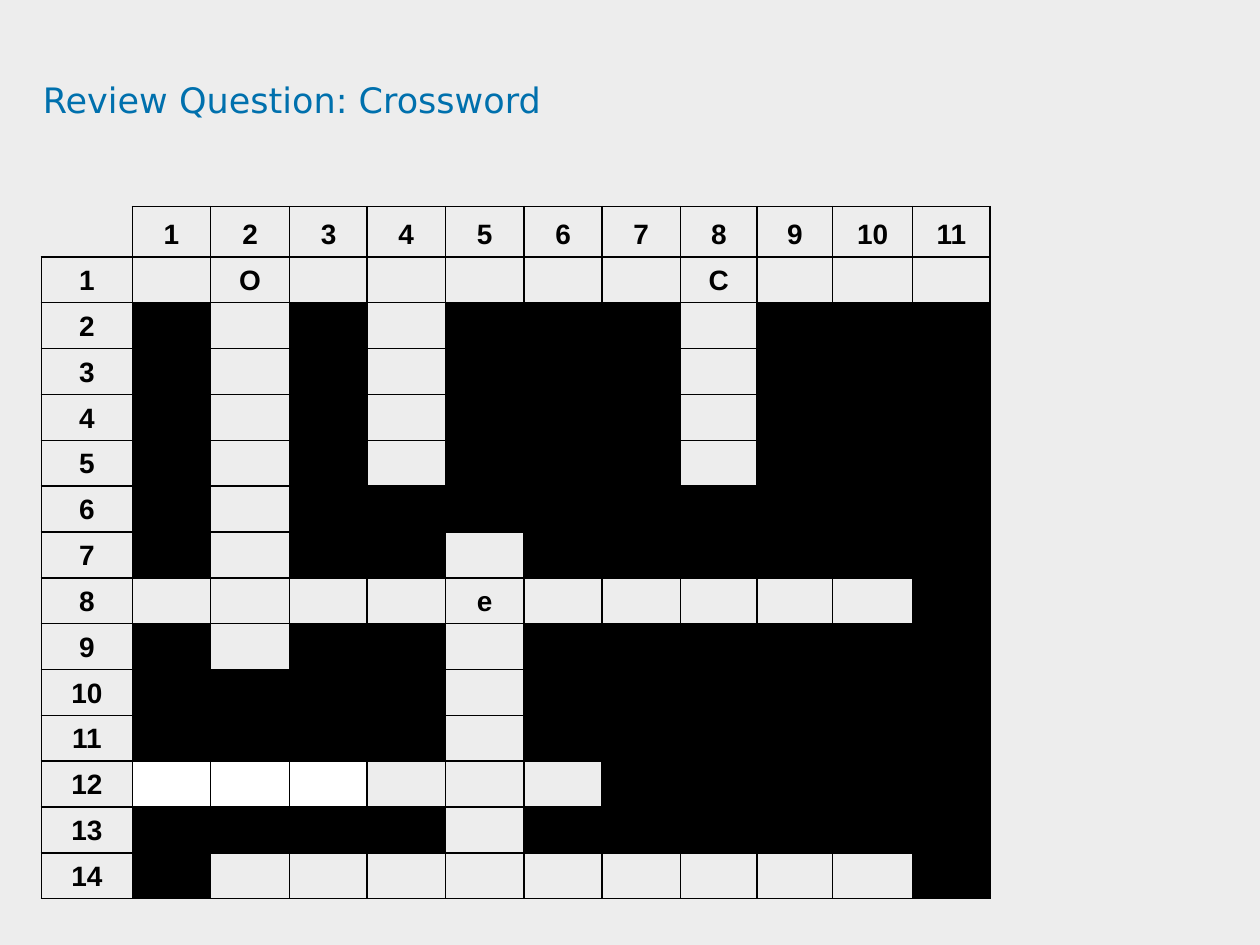
from lxml import etree
from pptx import Presentation
from pptx.dml.color import RGBColor
from pptx.enum.text import MSO_ANCHOR, PP_ALIGN
from pptx.oxml.ns import qn
from pptx.util import Pt

TOP, BOTTOM = MSO_ANCHOR.TOP, MSO_ANCHOR.BOTTOM
LEFT, CENTER = PP_ALIGN.LEFT, PP_ALIGN.CENTER
TITLE_ONLY = 5
BLACK, WHITE, GRAY, BLUE = "000000", "FFFFFF", "EDEDED", "0070AD"
FILLS = {"#": BLACK, "_": WHITE}
COLUMN_WIDTHS = [52, 44.6, 45.4, 44.3, 44.6, 45.1, 44.6, 44.6, 44, 43.1, 45.7, 44.3]
HEADER_HEIGHT, ROW_HEIGHT = 28.8, 26.2
CROSSWORD = [
    ".O.....C...",
    "#.#.###.###",
    "#.#.###.###",
    "#.#.###.###",
    "#.#.###.###",
    "#.#########",
    "#.##.######",
    "....e.....#",
    "#.##.######",
    "####.######",
    "####.######",
    "___...#####",
    "####.######",
    "#.........#",
]


def color(value):
    return RGBColor.from_string(value)


class SlideBuilder:
    title_font = "DejaVu Sans"
    grid_font = "Arial"

    def __init__(self, page):
        self.page = page

    def background(self, fill):
        self.page.background.fill.solid()
        self.page.background.fill.fore_color.rgb = color(fill)

    def span(self, para, text, font, size, hue, bold=False):
        span = para.add_run()
        span.text = text
        span.font.name = font
        span.font.size = Pt(size)
        span.font.bold = bold
        span.font.color.rgb = color(hue)

    def title(self, text, left, top, width, height):
        box = self.page.shapes.title
        box.left, box.top, box.width, box.height = map(Pt, (left, top, width, height))
        frame = box.text_frame
        frame.word_wrap = True
        frame.vertical_anchor = TOP
        frame.margin_left = frame.margin_right = frame.margin_top = frame.margin_bottom = 0
        para = frame.paragraphs[0]
        para.alignment = LEFT
        para.line_spacing = 1.5
        self.span(para, text, self.title_font, 20, BLUE)

    def borders(self, cell, visible):
        properties = cell._tc.get_or_add_tcPr()
        for side in "LRTB":
            line = etree.SubElement(properties, qn(f"a:ln{side}"), w=str(Pt(1)))
            if side in visible:
                fill = etree.SubElement(line, qn("a:solidFill"))
                etree.SubElement(fill, qn("a:srgbClr"), val=BLACK)
            else:
                etree.SubElement(line, qn("a:noFill"))

    def cell(self, cell, text, fill=None, visible="LRTB"):
        self.borders(cell, visible)
        if fill:
            cell.fill.solid()
            cell.fill.fore_color.rgb = color(fill)
        else:
            cell.fill.background()
        cell.vertical_anchor = BOTTOM
        cell.margin_left = cell.margin_right = Pt(7.2)
        cell.margin_top = cell.margin_bottom = Pt(3.6 if text else 0)
        if text:
            para = cell.text_frame.paragraphs[0]
            para.alignment = CENTER
            self.span(para, text, self.grid_font, 16, BLACK, True)

    def crossword(self, rows, left, top):
        heights = [HEADER_HEIGHT] + [ROW_HEIGHT] * len(rows)
        table = self.page.shapes.add_table(
            len(heights), len(COLUMN_WIDTHS), Pt(left), Pt(top),
            Pt(sum(COLUMN_WIDTHS)), Pt(sum(heights))).table
        table.first_row = table.horz_banding = False
        for column, width in zip(table.columns, COLUMN_WIDTHS):
            column.width = Pt(width)
        for row, height in zip(table.rows, heights):
            row.height = Pt(height)
        self.cell(table.cell(0, 0), "", visible="RB")
        for number in range(1, len(COLUMN_WIDTHS)):
            self.cell(table.cell(0, number), str(number))
        for number, marks in enumerate(rows, 1):
            self.cell(table.cell(number, 0), str(number))
            for column, mark in enumerate(marks, 1):
                letter = mark if mark.isalpha() else ""
                self.cell(table.cell(number, column), letter, FILLS.get(mark))


def main():
    deck = Presentation()
    deck.slide_width, deck.slide_height = Pt(720), Pt(540)
    builder = SlideBuilder(deck.slides.add_slide(deck.slide_layouts[TITLE_ONLY]))
    builder.background(GRAY)
    builder.title("Review Question: Crossword", 24.5, 33.1, 654.5, 67.7)
    builder.crossword(CROSSWORD, 23.6, 118)
    deck.save("out.pptx")


if __name__ == "__main__":
    main()
